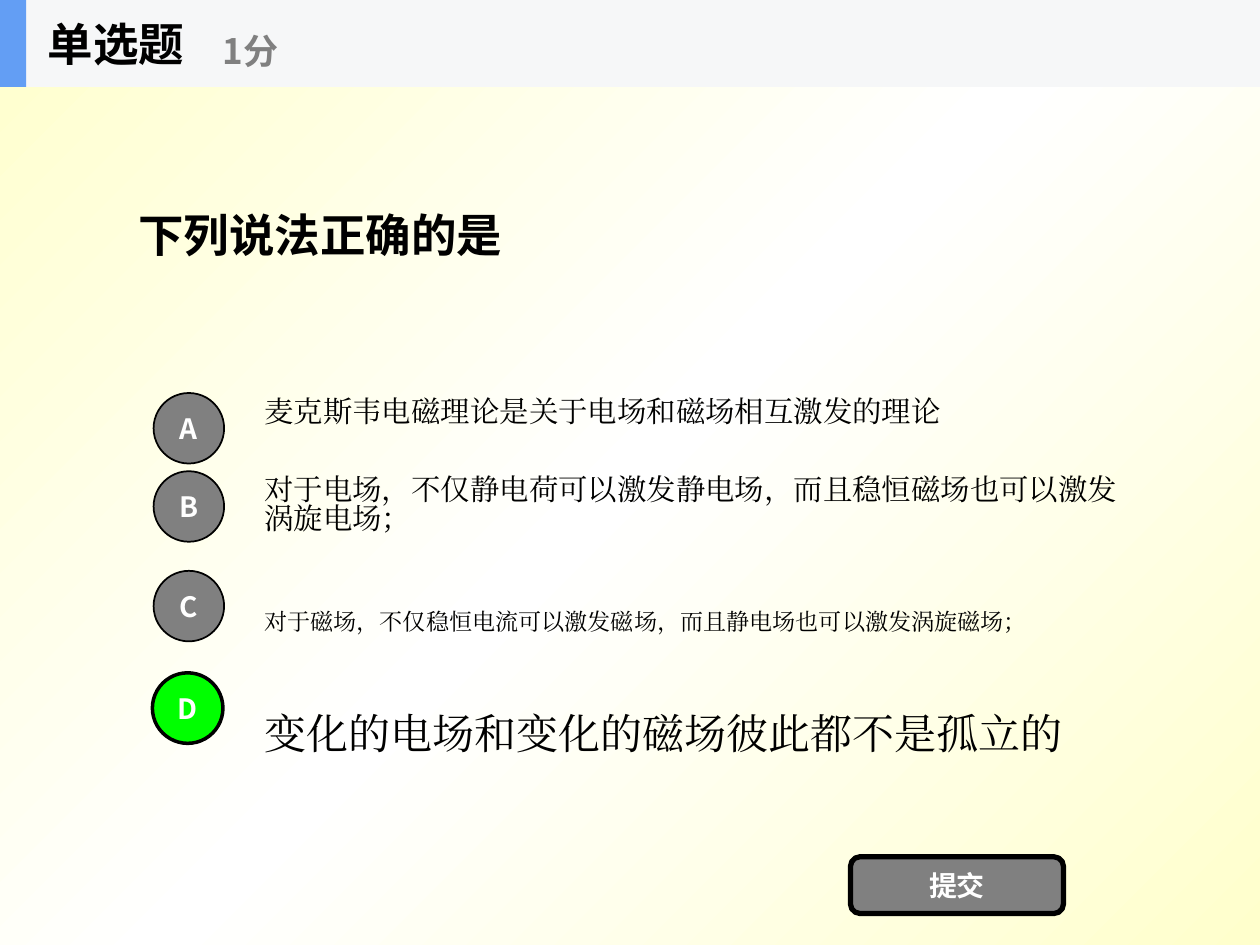
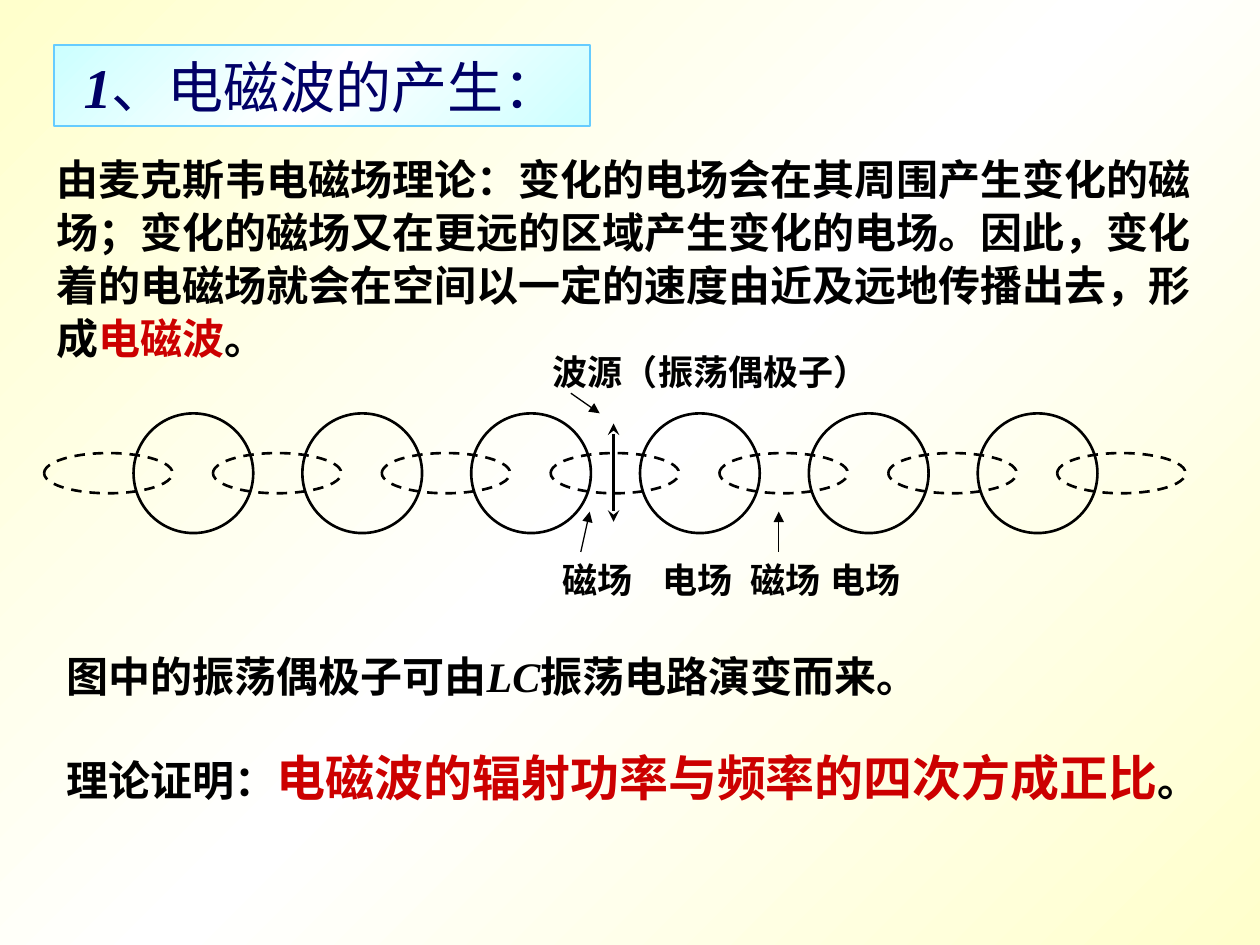
import copy

import pptx
import pptx.dml.color
import pptx.enum.dml
import pptx.enum.shapes
import pptx.enum.text
import pptx.oxml
import pptx.oxml.ns
import pptx.util

Pt = pptx.util.Pt
SHAPE = pptx.enum.shapes.MSO_SHAPE
ANCHOR = pptx.enum.text.MSO_ANCHOR
ALIGN = pptx.enum.text.PP_ALIGN
qn = pptx.oxml.ns.qn

COLORS = {
    "black": "000000", "white": "FFFFFF", "gray": "808080", "red": "CC0000",
    "navy": "000066", "cream": "FFFFCC", "ice": "CCFFFF", "sky": "66CCFF",
    "band": "F6F7F8", "accent": "639EF4", "correct": "00FF00",
}
NOTO, ARIAL, TIMES = "Noto Sans CJK SC", "Arial", "Times New Roman"


def rgb(name):
    return pptx.dml.color.RGBColor.from_string(COLORS[name])


def gradient(owner, fill, edge):
    """Diagonal gradient: edge colour, white, edge colour."""
    fill.gradient()
    fill.gradient_angle = 315
    stops = owner.element.find(".//" + qn("a:gsLst"))
    stops.insert(1, copy.deepcopy(stops[0]))
    for stop, name, position in zip(fill.gradient_stops, (edge, "white", edge), (0, 0.5, 1)):
        stop.color.rgb = rgb(name)
        stop.position = position


def run(text, size, font, color="black", bold=True, italic=False):
    return text, size, font, color, bold, italic


def write(sp, runs, anchor=ANCHOR.TOP, align=ALIGN.LEFT, spacing=None, bottom=3.6):
    tf = sp.text_frame
    tf.word_wrap = True
    tf.vertical_anchor = anchor
    tf.margin_bottom = Pt(bottom)
    p = tf.paragraphs[0]
    p.alignment = align
    if spacing:
        p.line_spacing = spacing
    for text, size, font, color, bold, italic in runs:
        r = p.add_run()
        r.text = text
        r.font.size = Pt(size)
        r.font.name = font
        r.font.bold = bold
        r.font.italic = italic
        r.font.color.rgb = rgb(color)
        # East Asian typeface follows the Latin one
        ea = pptx.oxml.parse_xml(
            f'<a:ea {pptx.oxml.ns.nsdecls("a")} typeface="{font}"/>')
        r.font._element.find(qn("a:latin")).addnext(ea)


def add_text(s, x, y, w, h, runs, **layout):
    sp = s.shapes.add_textbox(Pt(x), Pt(y), Pt(w), Pt(h))
    write(sp, runs, **layout)


def add_shape(s, kind, x, y, w, h, fill=None, line=None, width=1, dash=False):
    sp = s.shapes.add_shape(kind, Pt(x), Pt(y), Pt(w), Pt(h))
    sp.shadow.inherit = False
    if fill:
        sp.fill.solid()
        sp.fill.fore_color.rgb = rgb(fill)
    else:
        sp.fill.background()
    if line:
        sp.line.color.rgb = rgb(line)
        sp.line.width = Pt(width)
        if dash:
            sp.line.dash_style = pptx.enum.dml.MSO_LINE.DASH
    else:
        sp.line.fill.background()
    return sp


def add_arrow(s, x1, y1, x2, y2, width=0.75, kind="triangle", both=False):
    line = s.shapes.add_connector(
        pptx.enum.shapes.MSO_CONNECTOR.STRAIGHT, Pt(x1), Pt(y1), Pt(x2), Pt(y2))
    line.line.color.rgb = rgb("black")
    line.line.width = Pt(width)
    ln = line.line._get_or_add_ln()
    for end in ("headEnd", "tailEnd") if both else ("tailEnd",):
        ln.append(pptx.oxml.parse_xml(
            f'<a:{end} {pptx.oxml.ns.nsdecls("a")} type="{kind}"/>'))
    ln.addnext(pptx.oxml.parse_xml(f'<a:effectLst {pptx.oxml.ns.nsdecls("a")}/>'))


# Quiz slide regions
def quiz_header(s, x, y, w, h, title, points):
    add_shape(s, SHAPE.RECTANGLE, x, y, w, h, "band")
    add_shape(s, SHAPE.RECTANGLE, x, y, 15, h, "accent")
    add_text(s, x + 20.2, y, 150, h, [run(title, 26, NOTO)], anchor=ANCHOR.MIDDLE)
    add_text(s, x + 120.2, y + 8.6, 180, 40.3, [run(points, 20, NOTO, "gray")],
             anchor=ANCHOR.MIDDLE)


def quiz_option(s, x, y, letter, text, size, text_dy, text_w=504,
                spacing=0.8, bottom=3.6, correct=False):
    badge = add_shape(s, SHAPE.OVAL, x, y, 40.3, 40.3,
                      "correct" if correct else "gray", "black", 2 if correct else 1)
    write(badge, [run(letter, 16, NOTO, "white")], ANCHOR.MIDDLE, ALIGN.CENTER)
    add_text(s, 144, y + text_dy, text_w, 50.4, [run(text, size, TIMES, bold=False)],
             anchor=ANCHOR.MIDDLE, spacing=spacing, bottom=bottom)


def submit_button(s, x, y, w, h, label):
    sp = add_shape(s, SHAPE.ROUNDED_RECTANGLE, x, y, w, h, "gray", "black", 3)
    write(sp, [run(label, 16, NOTO, "white")], ANCHOR.MIDDLE, ALIGN.CENTER)


def quiz_slide(s):
    add_text(s, 72, 49.7, 576, 168.5, [run("下列说法正确的是", 26, NOTO)],
             anchor=ANCHOR.MIDDLE)
    quiz_option(s, 87.8, 224.6, "A", "麦克斯韦电磁理论是关于电场和磁场相互激发的理论",
                16.8, -5, text_w=573, bottom=20)
    quiz_option(s, 87.8, 269.3, "B",
                "对于电场，不仅静电荷可以激发静电场，而且稳恒磁场也可以激发涡旋电场；", 16.8, -5)
    quiz_option(s, 87.8, 326.2, "C",
                "对于磁场，不仅稳恒电流可以激发磁场，而且静电场也可以激发涡旋磁场；",
                13.2, 11.5, bottom=16)
    quiz_option(s, 87.1, 384.5, "D", "变化的电场和变化的磁场彼此都不是孤立的",
                24, 9.3, spacing=None, correct=True)
    submit_button(s, 486, 489.6, 121.7, 32.4, "提交")
    quiz_header(s, 0, 0, 720, 49.7, "单选题", "1分")


# Wave slide regions
def section_title(s, x, y, w, h, number, text):
    sp = add_shape(s, SHAPE.RECTANGLE, x, y, w, h, line="sky")
    gradient(sp, sp.fill, "ice")
    write(sp, [run(number, 32, TIMES, "navy", italic=True),
               run(text, 32, ARIAL, "navy", bold=False)], ANCHOR.MIDDLE, ALIGN.CENTER)


def field_chain(s, x, y):
    """Interlinked electric (circle) and magnetic (dashed) field loops."""
    pitch, circle, loop_w, loop_h = 96.48, 68.4, 73.4, 23
    for i in range(7):
        add_shape(s, SHAPE.OVAL, x + i * pitch, y + (circle - loop_h) / 2,
                  loop_w, loop_h, line="black", width=1.5, dash=True)
    for i in range(6):
        add_shape(s, SHAPE.OVAL, x + 51.1 + i * pitch, y, circle, circle,
                  line="black", width=1.5)
    # Oscillating dipole and pointers
    add_arrow(s, x + 325.4, y + 62, x + 325.4, y + 5.8, 2.25, "stealth", both=True)
    add_arrow(s, x + 306.7, y + 79.2, x + 311.8, y + 56.2)
    add_arrow(s, x + 419.8, y + 79.2, x + 419.8, y + 56.2)
    add_arrow(s, x + 301, y - 11.5, x + 317.5, y)
    # Labels
    add_text(s, x + 283.7, y - 39.6, 198.7, 31.7, [run("波源（振荡偶极子）", 20, ARIAL)])
    for dx, label in ((289.4, "磁场"), (346.3, "电场"), (396.7, "磁场"), (442.1, "电场")):
        add_text(s, x + dx, y + 79.2, 57, 31.7, [run(label, 20, ARIAL)])


def wave_slide(s):
    section_title(s, 31, 25.9, 306, 46.1, "1", "、电磁波的产生：")
    add_text(s, 25.2, 82.8, 663, 122.4, [
        run("由麦克斯韦电磁场理论：变化的电场会在其周围产生变化的磁场；"
            "变化的磁场又在更远的区域产生变化的电场。因此，变化着的电磁场就会"
            "在空间以一定的速度由近及远地传播出去，形成", 24, ARIAL),
        run("电磁波", 24, ARIAL, "red"), run("。", 24, ARIAL)], spacing=1.05)
    field_chain(s, 25.2, 236.2)
    add_text(s, 31, 366.5, 504.7, 36, [
        run("图中的振荡偶极子可由", 24, ARIAL), run("LC", 24, TIMES, italic=True),
        run("振荡电路演变而来。", 24, ARIAL)], spacing=1.05)
    add_text(s, 31, 423.4, 669, 41, [
        run("理论证明：", 24, ARIAL),
        run("电磁波的辐射功率与频率的四次方成正比", 28, ARIAL, "red"),
        run("。", 24, ARIAL)])


prs = pptx.Presentation()
prs.slide_width, prs.slide_height = Pt(720), Pt(540)
gradient(prs.slide_master, prs.slide_master.background.fill, "cream")
for build in (quiz_slide, wave_slide):
    build(prs.slides.add_slide(prs.slide_layouts[6]))
prs.save("out.pptx")
